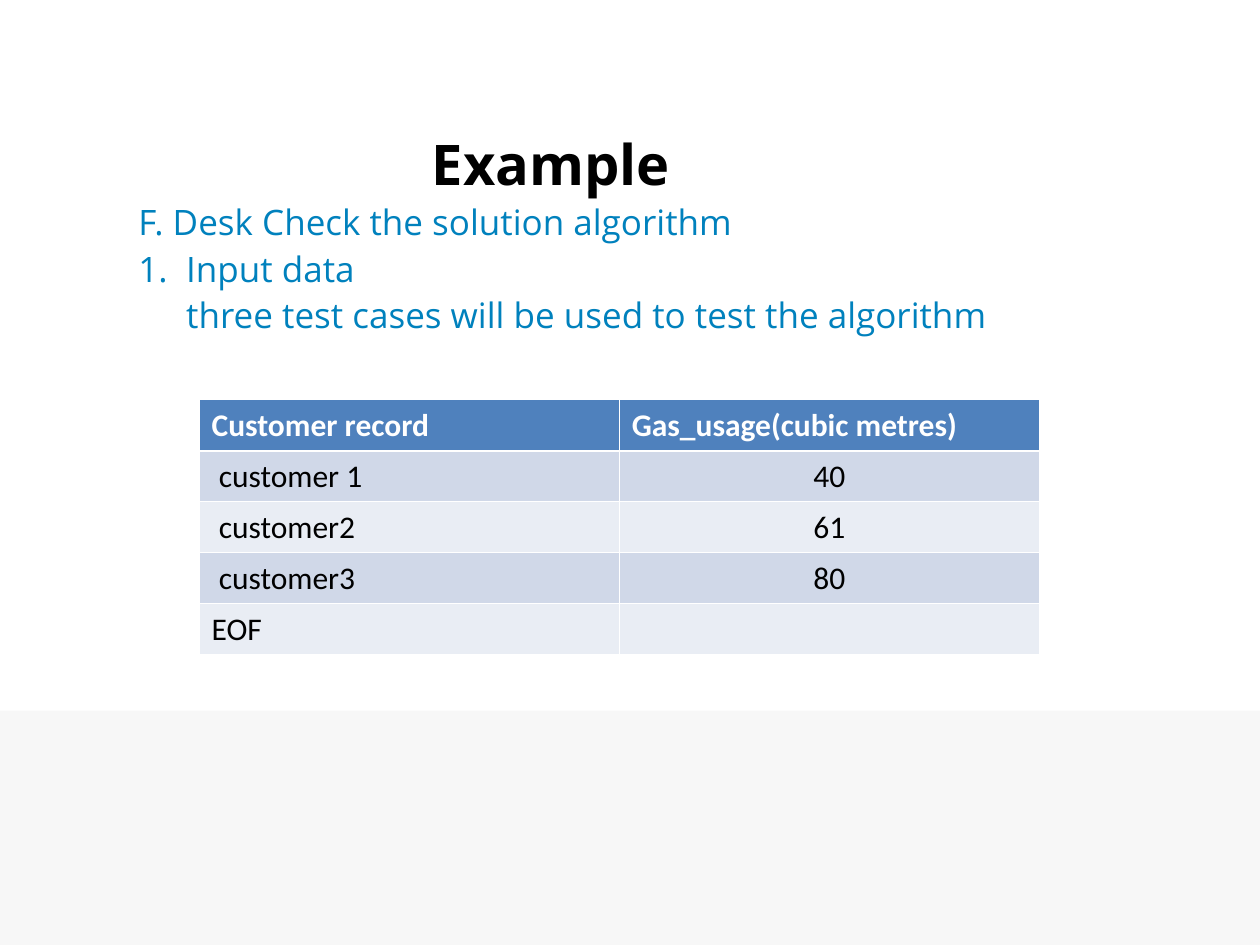
"""Build a slide with a heading, three lines of notes and a table of test data."""
from lxml.etree import SubElement
from pptx import Presentation
from pptx.dml.color import RGBColor
from pptx.enum.shapes import MSO_SHAPE as Shape
from pptx.enum.text import MSO_ANCHOR as Anchor, PP_ALIGN as Align
from pptx.oxml.ns import qn
from pptx.util import Inches, Pt

WHITE = RGBColor(0xFF, 0xFF, 0xFF)
BLACK = RGBColor(0, 0, 0)
GREY = RGBColor(0xF7, 0xF7, 0xF7)
CYAN = RGBColor(0x00, 0x81, 0xBD)
BLUE = RGBColor(0x4F, 0x81, 0xBD)
BANDS = RGBColor(0xD0, 0xD8, 0xE8), RGBColor(0xE9, 0xED, 0xF4)
WIDE, HIGH = Inches(10), Inches(7.5)
STEP = Inches(0.38)
THIN, THICK = Pt(0.45), Pt(1.47)
LINES = [
    ("F. Desk Check the solution algorithm", -STEP, False),
    ("Input data", -STEP, True),
    ("three test cases will be used to test the algorithm", 0, False),
]
ROWS = [
    ("Customer record", "Gas_usage(cubic metres)"),
    (" customer 1", "40"),
    (" customer2", "61"),
    (" customer3", "80"),
    ("EOF", ""),
]


def place(x, y, w, h):
    """Turn shares of the slide's size into lengths."""
    return int(x * WIDE), int(y * HIGH), int(w * WIDE), int(h * HIGH)


def style(para, name, size, color, bold=False):
    """Set the font of a paragraph."""
    font = para.font
    font.name, font.size, font.bold = name, Pt(size), bold
    font.color.rgb = color


def add_band(slide, box):
    """Draw the plain band at the foot."""
    band = slide.shapes.add_shape(Shape.RECTANGLE, *box)
    band.shadow.inherit = False
    band.fill.solid()
    band.fill.fore_color.rgb = GREY
    band.line.fill.background()


def add_frame(slide, box, anchor):
    """Add a wrapping text box and return its frame."""
    frame = slide.shapes.add_textbox(*box).text_frame
    frame.word_wrap = True
    frame.vertical_anchor = anchor
    return frame


def add_title(slide, box, text):
    """Write the heading."""
    para = add_frame(slide, box, Anchor.MIDDLE).paragraphs[0]
    para.text = text
    style(para, "Open Sans", 32, BLACK, True)


def add_notes(slide, box):
    """Write the indented lines, numbering those that ask for it."""
    frame = add_frame(slide, box, Anchor.TOP)
    for i, (text, indent, number) in enumerate(LINES):
        para = frame.add_paragraph() if i else frame.paragraphs[0]
        para.text = text
        para.space_before = Pt(5)
        para.line_spacing = 0.9
        props = para._p.get_or_add_pPr()
        props.set("marL", str(STEP))
        props.set("indent", str(indent))
        if number:
            SubElement(props, qn("a:buAutoNum"), type="arabicPeriod")
        style(para, "Open Sans", 20, CYAN)


def add_edges(cell, top, foot):
    """Draw white borders round a cell."""
    props = cell._tc.get_or_add_tcPr()
    sides = ("L", THIN), ("R", THIN), ("T", top), ("B", foot)
    for i, (side, width) in enumerate(sides):
        line = SubElement(props, qn(f"a:ln{side}"), w=str(width))
        fill = SubElement(line, qn("a:solidFill"))
        SubElement(fill, qn("a:srgbClr"), val=str(WHITE))
        props.insert(i, line)


def add_grid(slide, box):
    """Add the table of test data."""
    grid = slide.shapes.add_table(len(ROWS), len(ROWS[0]), *box).table
    for r, row in enumerate(ROWS):
        head = r == 0
        for c, text in enumerate(row):
            cell = grid.cell(r, c)
            cell.text = text
            cell.fill.solid()
            cell.fill.fore_color.rgb = BLUE if head else BANDS[(r - 1) % 2]
            para = cell.text_frame.paragraphs[0]
            para.alignment = Align.CENTER if c and not head else Align.LEFT
            style(para, "Calibri", 18, WHITE if head else BLACK, head)
            add_edges(cell, THICK if r == 1 else THIN, THICK if head else THIN)


def main():
    """Build and save the slide."""
    deck = Presentation()
    deck.slide_width, deck.slide_height = WIDE, HIGH
    slide = deck.slides.add_slide(deck.slide_layouts[6])
    add_band(slide, place(0, 0.752, 1, 0.248))
    add_title(slide, place(0.333, 0.09, 0.617, 0.166), "Example")
    add_notes(slide, place(0.1, 0.211, 0.9, 0.67))
    add_grid(slide, place(0.158, 0.423, 0.667, 0.27))
    deck.save("out.pptx")


if __name__ == "__main__":
    main()
